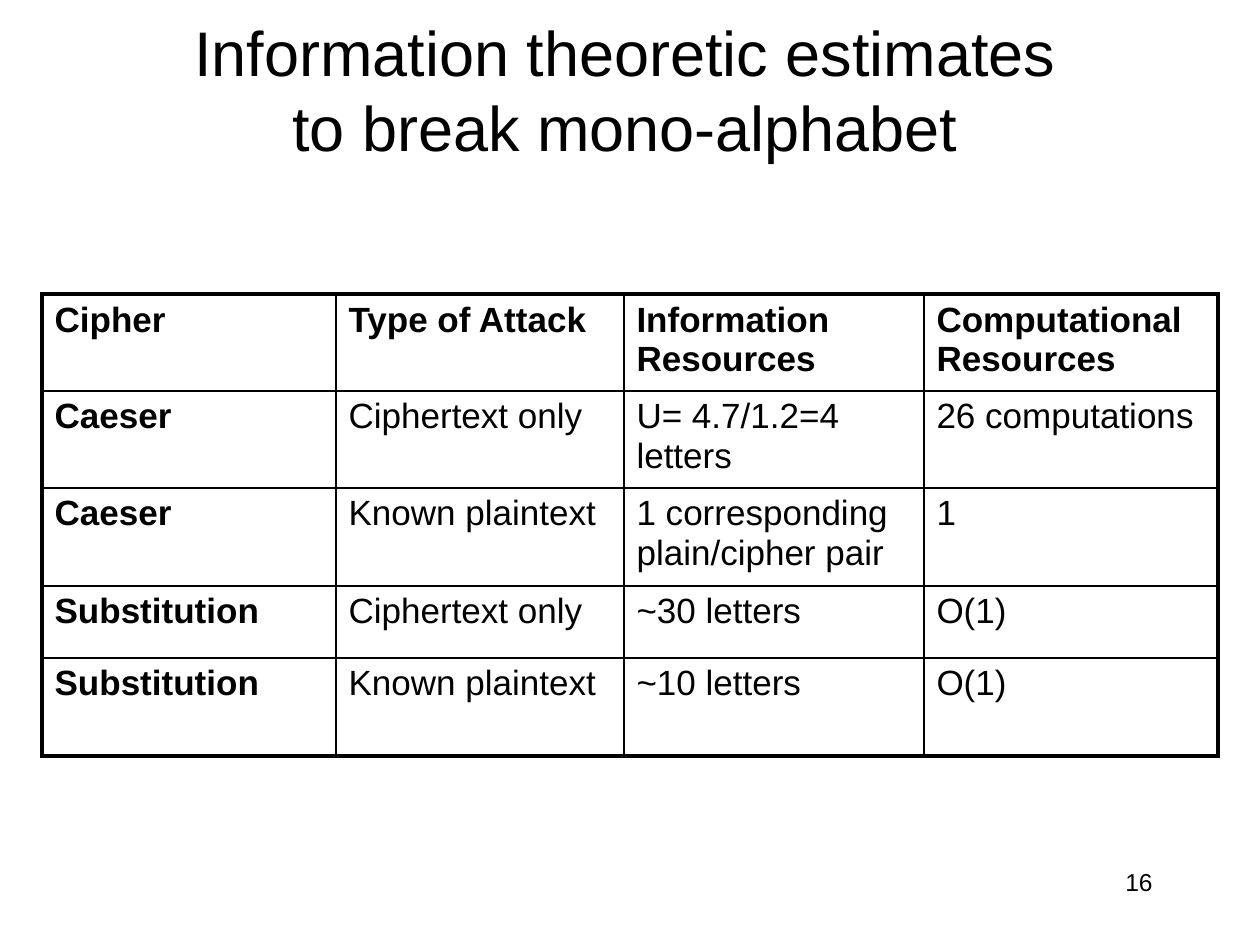
from lxml.etree import SubElement
from pptx import Presentation
from pptx.dml.color import RGBColor
from pptx.enum.text import MSO_ANCHOR, MSO_AUTO_SIZE, PP_ALIGN
from pptx.oxml.ns import qn
from pptx.util import Emu, Pt

THEME = {
    "font": "Arial", "ink": "000000", "paper": "FFFFFF",
    "title": 36, "table": 20, "number": 14,
    "outer_line": 2.25, "inner_line": 1,
}
EMU_PER_PX = 914400 / 126


def px(length):
    return Emu(round(length * EMU_PER_PX))


def format_text(paragraph, size, bold=False, align=PP_ALIGN.LEFT):
    paragraph.alignment = align
    formats = {"name": THEME["font"], "size": Pt(size), "bold": bold}
    for run in paragraph.runs:
        for name, value in formats.items():
            setattr(run.font, name, value)
        run.font.color.rgb = RGBColor.from_string(THEME["ink"])


presentation = Presentation()
presentation.slide_width, presentation.slide_height = px(1260), px(945)
slide = presentation.slides.add_slide(presentation.slide_layouts[5])
slide.background.fill.solid()
slide.background.fill.fore_color.rgb = RGBColor.from_string(THEME["paper"])

# Title
title = slide.shapes.title
title.left, title.top, title.width, title.height = px(42), px(10), px(1166), px(158)
title.text_frame.text = "Information theoretic estimates\vto break mono-alphabet"
title.text_frame.auto_size = MSO_AUTO_SIZE.NONE
title.text_frame.vertical_anchor = MSO_ANCHOR.MIDDLE
format_text(title.text_frame.paragraphs[0], THEME["title"], align=PP_ALIGN.CENTER)

# Table of attacks
rows = [
    ["Cipher", "Type of Attack", "Information Resources", "Computational Resources"],
    ["Caeser", "Ciphertext only", "U= 4.7/1.2=4 letters", "26 computations"],
    ["Caeser", "Known plaintext", "1 corresponding plain/cipher pair", "1"],
    ["Substitution", "Ciphertext only", "~30 letters", "O(1)"],
    ["Substitution", "Known plaintext", "~10 letters", "O(1)"],
]
column_widths = [294, 288, 300, 294]
row_heights = [97, 97, 98, 72, 98]
table = slide.shapes.add_table(
    len(rows), len(column_widths), px(42), px(294),
    px(sum(column_widths)), px(sum(row_heights))).table
for column, width in zip(table.columns, column_widths):
    column.width = px(width)
for row, height in zip(table.rows, row_heights):
    row.height = px(height)

for row_index, texts in enumerate(rows):
    for column_index, text in enumerate(texts):
        cell = table.cell(row_index, column_index)
        cell.text = text
        format_text(cell.text_frame.paragraphs[0], THEME["table"],
                    bold=row_index == 0 or column_index == 0)

        # Borders: heavy around the table, thin inside
        is_outer = {
            "a:lnL": column_index == 0,
            "a:lnR": column_index == len(texts) - 1,
            "a:lnT": row_index == 0,
            "a:lnB": row_index == len(rows) - 1,
        }
        properties = cell._tc.get_or_add_tcPr()
        for tag, outer in is_outer.items():
            width = THEME["outer_line" if outer else "inner_line"]
            line = SubElement(properties, qn(tag), w=str(Pt(width)))
            line_fill = SubElement(line, qn("a:solidFill"))
            SubElement(line_fill, qn("a:srgbClr"), val=THEME["ink"])
        cell.fill.background()

# Slide number
number_box = slide.shapes.add_textbox(px(903), px(861), px(262), px(63))
number_box.text_frame.word_wrap = True
number_box.text_frame.text = "16"
format_text(number_box.text_frame.paragraphs[0], THEME["number"], align=PP_ALIGN.RIGHT)

presentation.save("out.pptx")
